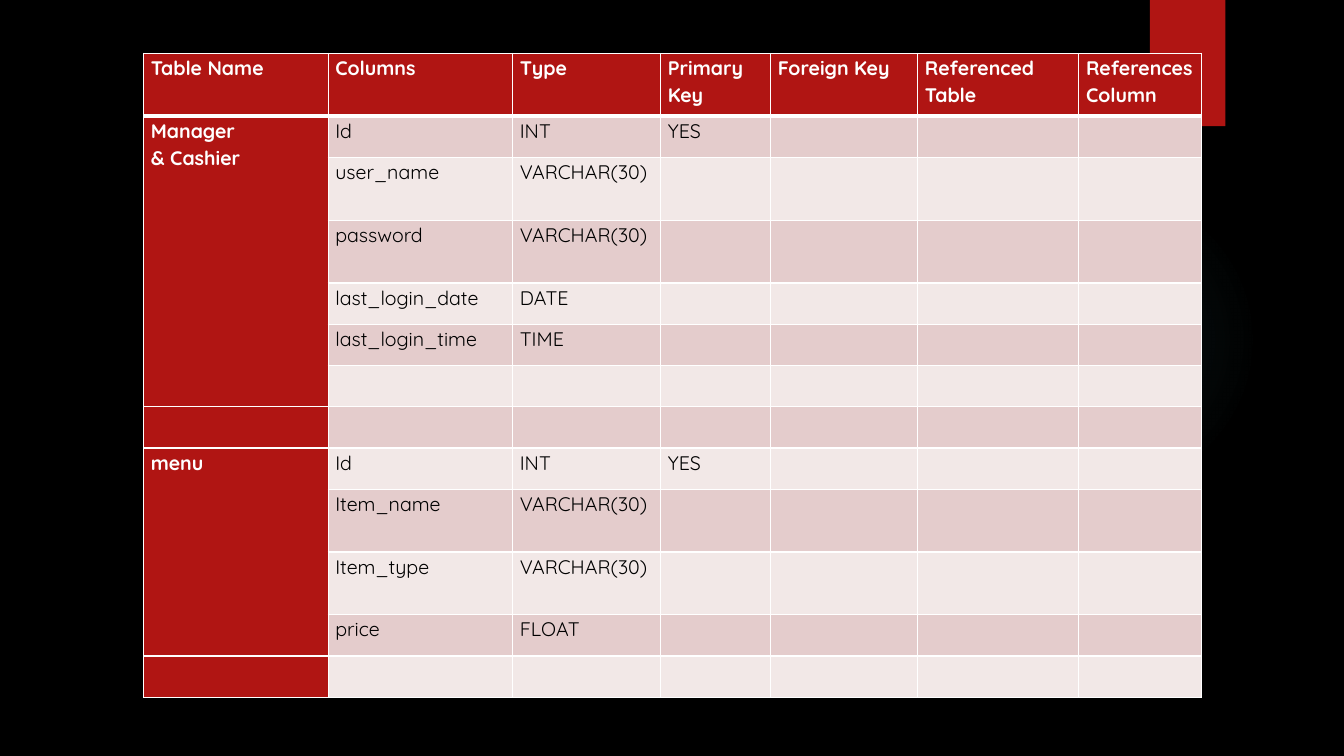
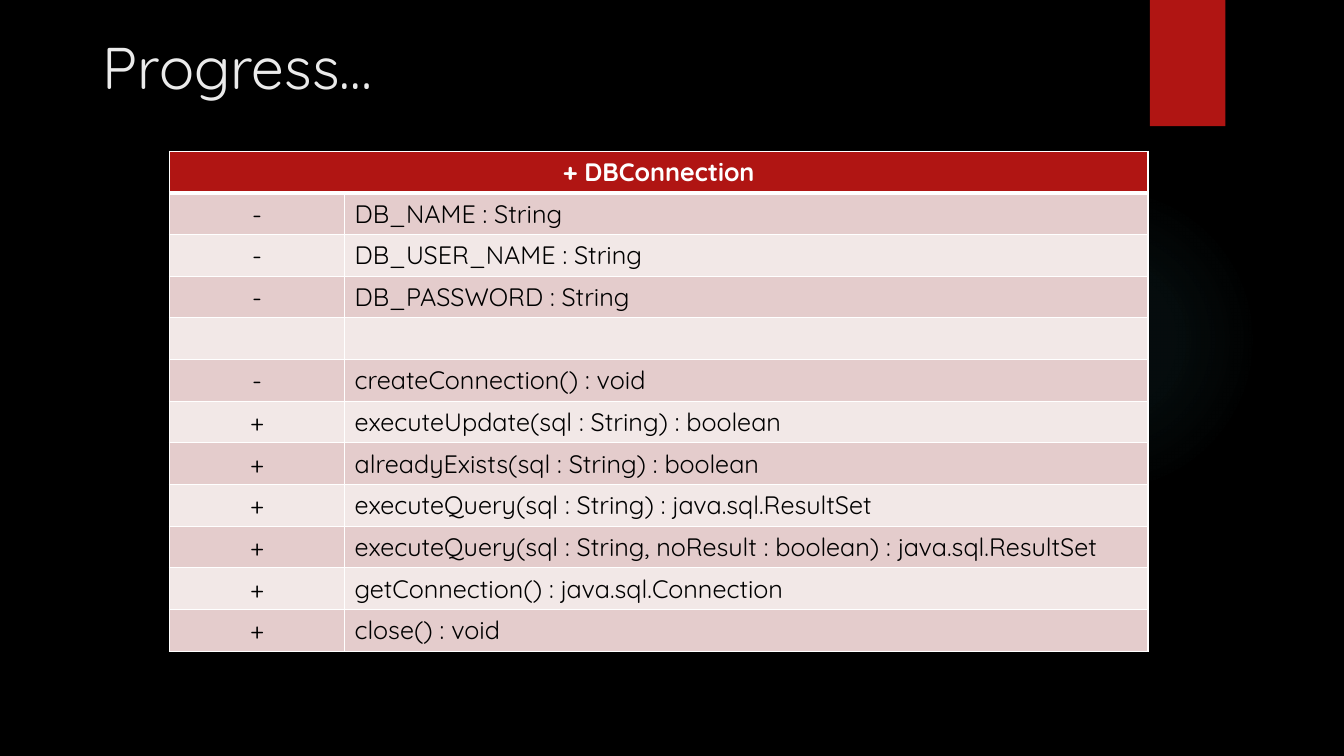
from dataclasses import dataclass

from lxml import etree
from pptx import Presentation
from pptx import util as u
from pptx.dml import color
from pptx.enum import shapes, text
from pptx.oxml import ns

FONT = "Quicksand"
RED, WHITE, BLACK = "B01513", "FFFFFF", "000000"
TITLE_COLOUR, GLOW_COLOUR = "EBEBEB", "50B9C1"
STRIPES = ("F2E8E7", "E4CCCC")  # even and odd body rows
GLOW_STOPS = ((0, 7), (36, 6), (69, 0))  # position and opacity, in percent
THIN, THICK = 1, 3


@dataclass(frozen=True)
class Merge:
    first: tuple[int, int]
    last: tuple[int, int]


@dataclass(frozen=True)
class Grid:
    left: float
    top: float
    widths: list[float]
    heights: list[float]
    rows: list[tuple[str, ...]]
    merges: list[Merge]
    size: int
    margin_x: float
    margin_y: float
    line_spacing: float | None = None
    red_first_column: bool = False
    centred_first_column: bool = False


def paint(fill, hex_colour: str) -> None:
    fill.solid()
    fill.fore_color.rgb = color.RGBColor.from_string(hex_colour)


def style_text(frame, size: int, hex_colour: str, bold: bool = False) -> None:
    for paragraph in frame.paragraphs:
        for run in paragraph.runs:
            run.font.name = FONT
            run.font.size = u.Pt(size)
            run.font.bold = bold
            run.font.color.rgb = color.RGBColor.from_string(hex_colour)


def add_plain_shape(slide, kind, left: float, top: float, width: float, height: float):
    shape = slide.shapes.add_shape(kind, u.Cm(left), u.Cm(top), u.Cm(width), u.Cm(height))
    shape.shadow.inherit = False
    shape.line.fill.background()
    return shape


def add_backdrop(slide) -> None:
    # Faint round glow
    glow = add_plain_shape(slide, shapes.MSO_SHAPE.OVAL, 23.9, 4.65, 7.82, 7.82)
    stops = "".join(
        f'<a:gs pos="{position * 1000}"><a:srgbClr val="{GLOW_COLOUR}">'
        f'<a:alpha val="{opacity * 1000}"/></a:srgbClr></a:gs>'
        for position, opacity in GLOW_STOPS
    )
    gradient = etree.fromstring(
        f'<a:gradFill {ns.nsdecls("a")} rotWithShape="1"><a:gsLst>{stops}</a:gsLst>'
        '<a:path path="circle"><a:fillToRect l="50000" t="50000" r="50000" b="50000"/>'
        "</a:path></a:gradFill>"
    )
    glow._element.spPr.find(ns.qn("a:prstGeom")).addnext(gradient)

    # Red ribbon at the top
    ribbon = add_plain_shape(slide, shapes.MSO_SHAPE.RECTANGLE, 28.98, 0, 1.9, 3.18)
    paint(ribbon.fill, RED)


def add_title(slide, wording: str) -> None:
    title = slide.shapes.add_textbox(u.Cm(2.34), u.Cm(0.64), u.Cm(29.2), u.Cm(2.67))
    frame = title.text_frame
    frame.word_wrap = True
    frame.vertical_anchor = text.MSO_ANCHOR.TOP
    frame.text = wording
    style_text(frame, 42, TITLE_COLOUR)


def set_borders(cell, top: int, bottom: int) -> None:
    properties = cell._tc.get_or_add_tcPr()
    for side, points in (("L", THIN), ("R", THIN), ("T", top), ("B", bottom)):
        properties.append(etree.fromstring(
            f'<a:ln{side} {ns.nsdecls("a")} w="{u.Pt(points)}"><a:solidFill>'
            f'<a:srgbClr val="{WHITE}"/></a:solidFill></a:ln{side}>'
        ))


def fill_cell(cell, grid: Grid, row: int, column: int) -> None:
    header = row == 0
    emphasised = header or (grid.red_first_column and column == 0)
    set_borders(cell, THICK if row == 1 else THIN, THICK if header else THIN)
    paint(cell.fill, RED if emphasised else STRIPES[row % 2])
    cell.margin_left = cell.margin_right = u.Cm(grid.margin_x)
    cell.margin_top = cell.margin_bottom = u.Cm(grid.margin_y)
    wording = grid.rows[row][column]
    if not wording:
        return
    cell.text_frame.text = wording
    for paragraph in cell.text_frame.paragraphs:
        if grid.line_spacing:
            paragraph.line_spacing = grid.line_spacing
        if grid.centred_first_column and column == 0:
            paragraph.alignment = text.PP_ALIGN.CENTER
    style_text(cell.text_frame, grid.size, WHITE if emphasised else BLACK, emphasised)


def add_grid(slide, grid: Grid) -> None:
    table = slide.shapes.add_table(
        len(grid.rows), len(grid.widths), u.Cm(grid.left), u.Cm(grid.top),
        u.Cm(sum(grid.widths)), u.Cm(sum(grid.heights)),
    ).table
    for column, width in zip(table.columns, grid.widths):
        column.width = u.Cm(width)
    for row, height in zip(table.rows, grid.heights):
        row.height = u.Cm(height)
    for row in range(len(grid.rows)):
        for column in range(len(grid.widths)):
            fill_cell(table.cell(row, column), grid, row, column)
    for merge in grid.merges:
        table.cell(*merge.first).merge(table.cell(*merge.last))


# Database schema: table name, column, type, primary key
HEADINGS = ("Table Name", "Columns", "Type", "Primary Key", "Foreign Key",
            "Referenced Table", "References Column")
FIELDS = [
    ("Manager\n& Cashier", "Id", "INT", "YES"),
    ("", "user_name", "VARCHAR(30)", ""),
    ("", "password", "VARCHAR(30)", ""),
    ("", "last_login_date", "DATE", ""),
    ("", "last_login_time", "TIME", ""),
    ("", "", "", ""),
    ("", "", "", ""),
    ("menu", "Id", "INT", "YES"),
    ("", "Item_name", "VARCHAR(30)", ""),
    ("", "Item_type", "VARCHAR(30)", ""),
    ("", "price", "FLOAT", ""),
    ("", "", "", ""),
]
TALL, SHORT = 1.58, 1.04
schema = Grid(
    left=3.62, top=1.35,
    widths=[4.65, 4.65, 3.73, 2.77, 3.71, 4.06, 3.1],
    heights=[TALL] + [TALL if field[2] == "VARCHAR(30)" else SHORT for field in FIELDS],
    rows=[HEADINGS] + [field + ("", "", "") for field in FIELDS],
    merges=[Merge((1, 0), (6, 0)), Merge((8, 0), (11, 0))],
    size=14, margin_x=0.18, margin_y=0, line_spacing=1.1, red_first_column=True,
)

# Members of the connection class: visibility and signature
MEMBERS = [
    ("+ DBConnection", ""),
    ("-", "DB_NAME : String"),
    ("-", "DB_USER_NAME : String"),
    ("-", "DB_PASSWORD : String"),
    ("", ""),
    ("-", "createConnection() : void"),
    ("+", "executeUpdate(sql : String) : boolean"),
    ("+", "alreadyExists(sql : String) : boolean"),
    ("+", "executeQuery(sql : String) : java.sql.ResultSet"),
    ("+", "executeQuery(sql : String, noResult : boolean) : java.sql.ResultSet"),
    ("+", "getConnection() : java.sql.Connection"),
    ("+", "close() : void"),
]
connection_class = Grid(
    left=4.27, top=3.81, widths=[4.42, 20.24], heights=[1.05] * len(MEMBERS),
    rows=MEMBERS, merges=[Merge((0, 0), (0, 1))],
    size=18, margin_x=0.25, margin_y=0.13, centred_first_column=True,
)

deck = Presentation()
deck.slide_width, deck.slide_height = u.Cm(33.87), u.Cm(19.05)
paint(deck.slide_master.background.fill, BLACK)

for heading, grid in (("", schema), ("Progress…", connection_class)):
    slide = deck.slides.add_slide(deck.slide_layouts[6])
    add_backdrop(slide)
    if heading:
        add_title(slide, heading)
    add_grid(slide, grid)

deck.save("out.pptx")
